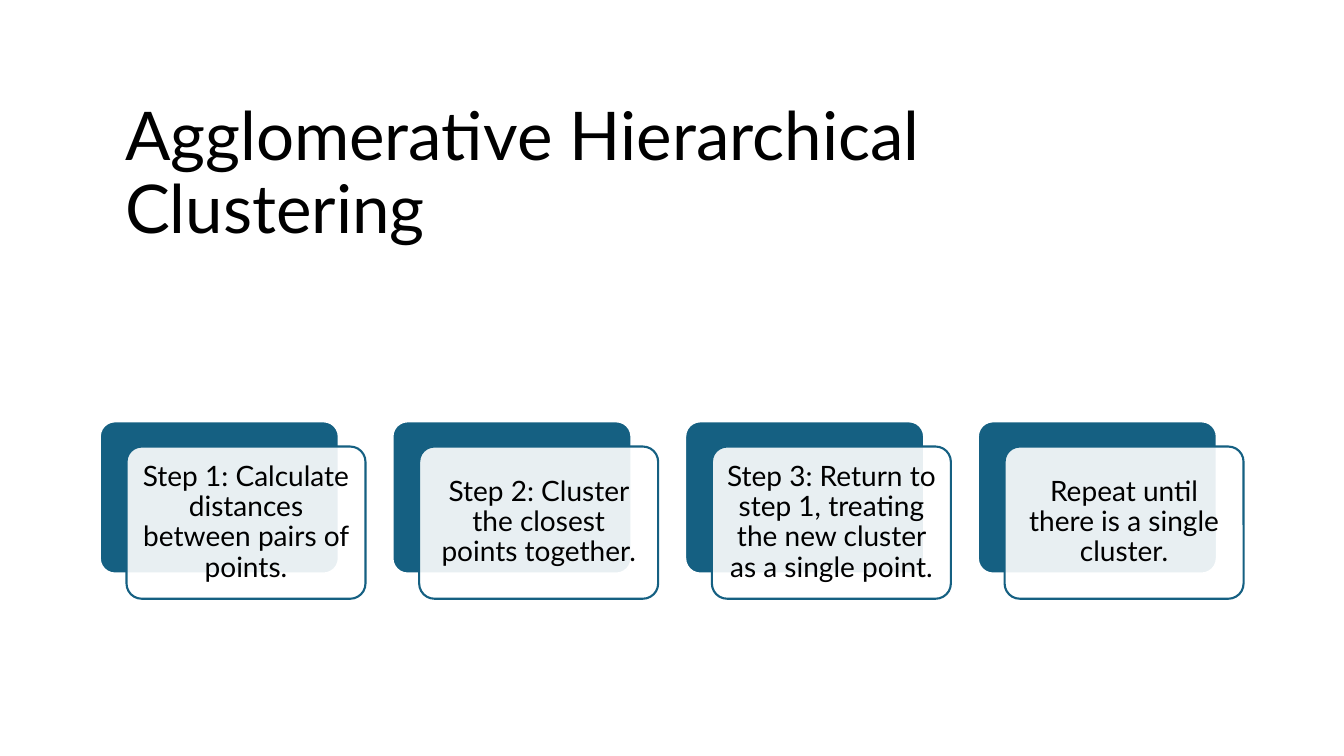
from dataclasses import dataclass

from lxml import etree
from pptx import Presentation
from pptx.dml.color import RGBColor
from pptx.enum.shapes import MSO_SHAPE
from pptx.enum.text import MSO_ANCHOR, MSO_AUTO_SIZE, PP_ALIGN
from pptx.oxml.ns import qn
from pptx.shapes.autoshape import Shape
from pptx.shapes.shapetree import GroupShapes
from pptx.util import Inches, Pt

ROUND = MSO_SHAPE.ROUNDED_RECTANGLE
MIDDLE = MSO_ANCHOR.MIDDLE
NO_FIT = MSO_AUTO_SIZE.NONE
LEFT, CENTER = PP_ALIGN.LEFT, PP_ALIGN.CENTER

TEAL = RGBColor(0x15, 0x60, 0x82)
WHITE = RGBColor(0xFF, 0xFF, 0xFF)
BLACK = RGBColor(0x00, 0x00, 0x00)

FONT = "Lato"
CARD_W, CARD_H = 2.37, 1.51
START, TOP, PITCH = 0.99, 4.18, 2.903
SHIFT_X, SHIFT_Y = 0.265, 0.25
PAD = 0.04
INSET = Inches(0.08)
FRAME = {"word_wrap": True, "auto_size": NO_FIT, "vertical_anchor": MIDDLE}
INSETS = {f"margin_{side}": INSET for side in ("left", "right", "top", "bottom")}

STEPS = (
    "Step 1: Calculate distances between pairs of points.",
    "Step 2: Cluster the closest points together.",
    "Step 3: Return to step 1, treating the new cluster as a single point.",
    "Repeat until there is a single cluster.",
)


@dataclass(frozen=True)
class Box:
    left: float
    top: float
    width: float
    height: float

    def sides(self) -> tuple[Inches, ...]:
        return tuple(Inches(n) for n in (self.left, self.top, self.width, self.height))


def style(item: object, values: dict[str, object]) -> None:
    for name, value in values.items():
        setattr(item, name, value)


def write(shape: Shape, text: str, size: int, align: PP_ALIGN,
          frame: dict[str, object]) -> None:
    style(shape.text_frame, frame)
    line = shape.text_frame.paragraphs[0]
    style(line, {"alignment": align, "line_spacing": 0.9})
    run = line.add_run()
    run.text = text
    style(run.font, {"name": FONT, "size": Pt(size)})
    run.font.color.rgb = BLACK


def add_card(shapes: GroupShapes, box: Box, fill: RGBColor, edge: RGBColor) -> Shape:
    card = shapes.add_shape(ROUND, *box.sides())
    card.adjustments[0] = 0.1
    card.shadow.inherit = False
    card.fill.solid()
    card.fill.fore_color.rgb = fill
    card.line.color.rgb = edge
    card.line.width = Pt(1.5)
    return card


def fade(shape: Shape, percent: int) -> None:
    """Set the opacity of a solid fill."""
    color = shape.fill._xPr.find(qn("a:solidFill"))[0]
    etree.SubElement(color, qn("a:alpha")).set("val", str(percent * 1000))


def add_step(shapes: GroupShapes, index: int, text: str) -> None:
    left = START + index * PITCH
    back = Box(left, TOP, CARD_W, CARD_H)
    front = Box(left + SHIFT_X, TOP + SHIFT_Y, CARD_W, CARD_H)
    label = Box(front.left + PAD, front.top + PAD,
                CARD_W - 2 * PAD, CARD_H - 2 * PAD)
    add_card(shapes, back, TEAL, WHITE)
    fade(add_card(shapes, front, WHITE, TEAL), 90)
    write(shapes.add_textbox(*label.sides()), text, 20, CENTER, FRAME | INSETS)


def main() -> None:
    deck = Presentation()
    style(deck, {"slide_width": Inches(13.33), "slide_height": Inches(7.5)})
    slide = deck.slides.add_slide(deck.slide_layouts[5])
    title = slide.shapes.title
    spot = Box(1.14, 0.89, 11.13, 1.7).sides()
    style(title, dict(zip(("left", "top", "width", "height"), spot)))
    write(title, "Agglomerative Hierarchical Clustering", 48, LEFT, FRAME)
    group = slide.shapes.add_group_shape()
    for index, text in enumerate(STEPS):
        add_step(group.shapes, index, text)
    deck.save("out.pptx")


if __name__ == "__main__":
    main()
